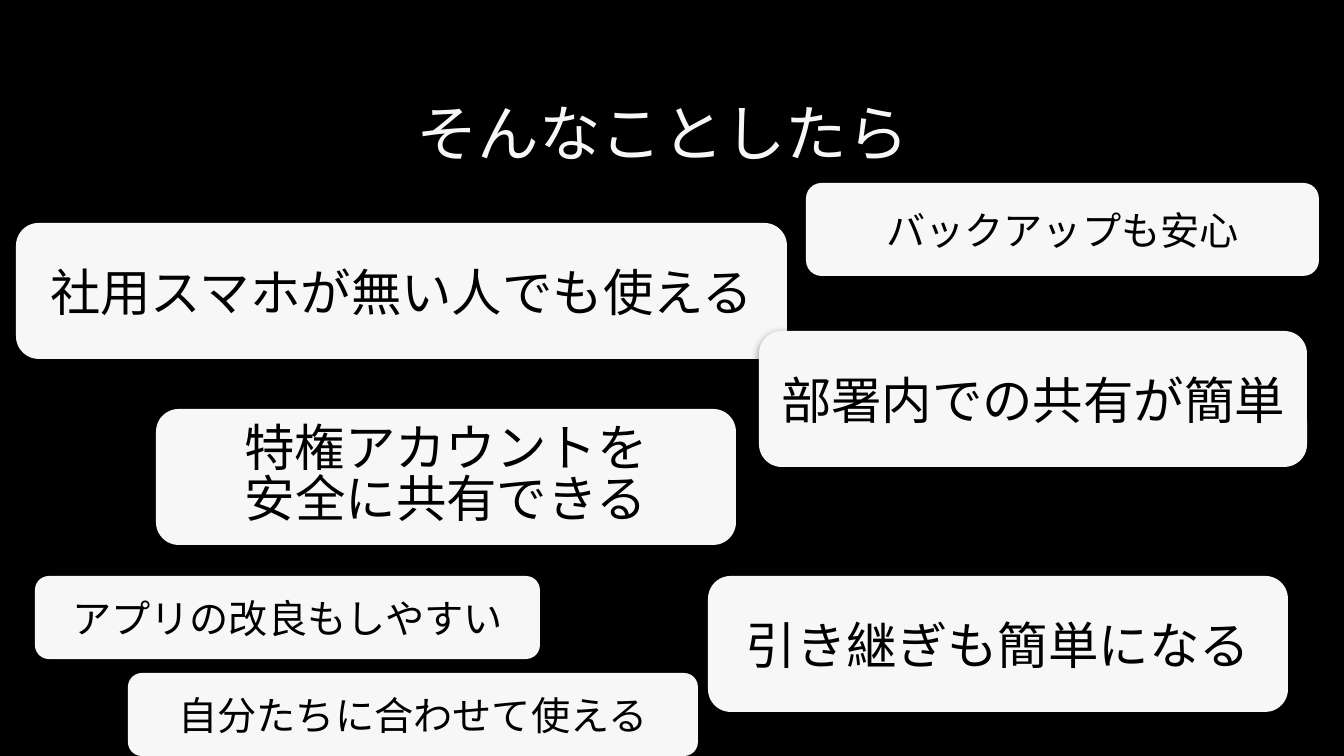
import pptx
import pptx.dml.color
import pptx.enum.shapes
import pptx.enum.text
import pptx.oxml
import pptx.oxml.ns
import pptx.util

PX_PER_INCH = 134.4
FONT = "Noto Sans CJK JP"
COLORS = {"background": "000000", "card": "F7F7F7", "title": "F7F7F7", "text": "000000"}
TITLE_SIZE, LARGE, SMALL = 33, 27, 21

# Left, top, width, height in px, then text size and text, from back to front
CARDS = [
    (16, 223, 771, 136, LARGE, "社用スマホが無い人でも使える"),
    (759, 331, 548, 136, LARGE, "部署内での共有が簡単"),
    (156, 409, 580, 136, LARGE, "特権アカウントを\v安全に共有できる"),
    (708, 576, 580, 136, LARGE, "引き継ぎも簡単になる"),
    (35, 576, 505, 83, SMALL, "アプリの改良もしやすい"),
    (806, 183, 513, 93, SMALL, "バックアップも安心"),
    (128, 673, 570, 83, SMALL, "自分たちに合わせて使える"),
]


def px(length):
    return pptx.util.Emu(round(length * 914400 / PX_PER_INCH))


def color(name):
    return pptx.dml.color.RGBColor.from_string(COLORS[name])


def set_text(shape, text, size, color_name):
    """Write one centred paragraph, with the font set for Latin and Japanese."""
    frame = shape.text_frame
    frame.word_wrap = True
    frame.vertical_anchor = pptx.enum.text.MSO_ANCHOR.MIDDLE
    frame.margin_left = frame.margin_right = pptx.util.Inches(0.1)
    frame.margin_top = frame.margin_bottom = pptx.util.Inches(0.1)
    paragraph = frame.paragraphs[0]
    paragraph.text = text
    paragraph.alignment = pptx.enum.text.PP_ALIGN.CENTER
    if "\v" in text:
        paragraph.line_spacing = 0.83
    paragraph.font.name = FONT
    paragraph.font.size = pptx.util.Pt(size)
    paragraph.font.color.rgb = color(color_name)
    latin = paragraph._p.pPr.find(".//" + pptx.oxml.ns.qn("a:latin"))
    latin.addnext(pptx.oxml.parse_xml(
        f'<a:ea {pptx.oxml.ns.nsdecls("a")} typeface="{FONT}"/>'))


def add_shadow(shape):
    """Cast a soft half-transparent shadow straight down."""
    shape.shadow.inherit = False
    effects = shape._element.spPr.find(pptx.oxml.ns.qn("a:effectLst"))
    effects.append(pptx.oxml.parse_xml(
        f'<a:outerShdw {pptx.oxml.ns.nsdecls("a")} blurRad="{pptx.util.Pt(4.5)}"'
        f' dist="{pptx.util.Pt(1.5)}" dir="5400000" algn="bl" rotWithShape="0">'
        f'<a:srgbClr val="{COLORS["background"]}"><a:alpha val="50000"/></a:srgbClr>'
        '</a:outerShdw>'))


def add_title(slide, left, top, width, height, text):
    box = slide.shapes.add_textbox(px(left), px(top), px(width), px(height))
    set_text(box, text, TITLE_SIZE, "title")


def add_card(slide, left, top, width, height, size, text):
    card = slide.shapes.add_shape(
        pptx.enum.shapes.MSO_SHAPE.ROUNDED_RECTANGLE,
        px(left), px(top), px(width), px(height))
    card.fill.solid()
    card.fill.fore_color.rgb = color("card")
    card.line.fill.background()
    add_shadow(card)
    set_text(card, text, size, "text")


def main():
    presentation = pptx.Presentation()
    presentation.slide_width, presentation.slide_height = px(1344), px(756)
    slide = presentation.slides.add_slide(presentation.slide_layouts[6])
    slide.background.fill.solid()
    slide.background.fill.fore_color.rgb = color("background")
    add_title(slide, 286, 42, 753, 180, "そんなことしたら")
    for card in CARDS:
        add_card(slide, *card)
    presentation.save("out.pptx")


if __name__ == "__main__":
    main()
